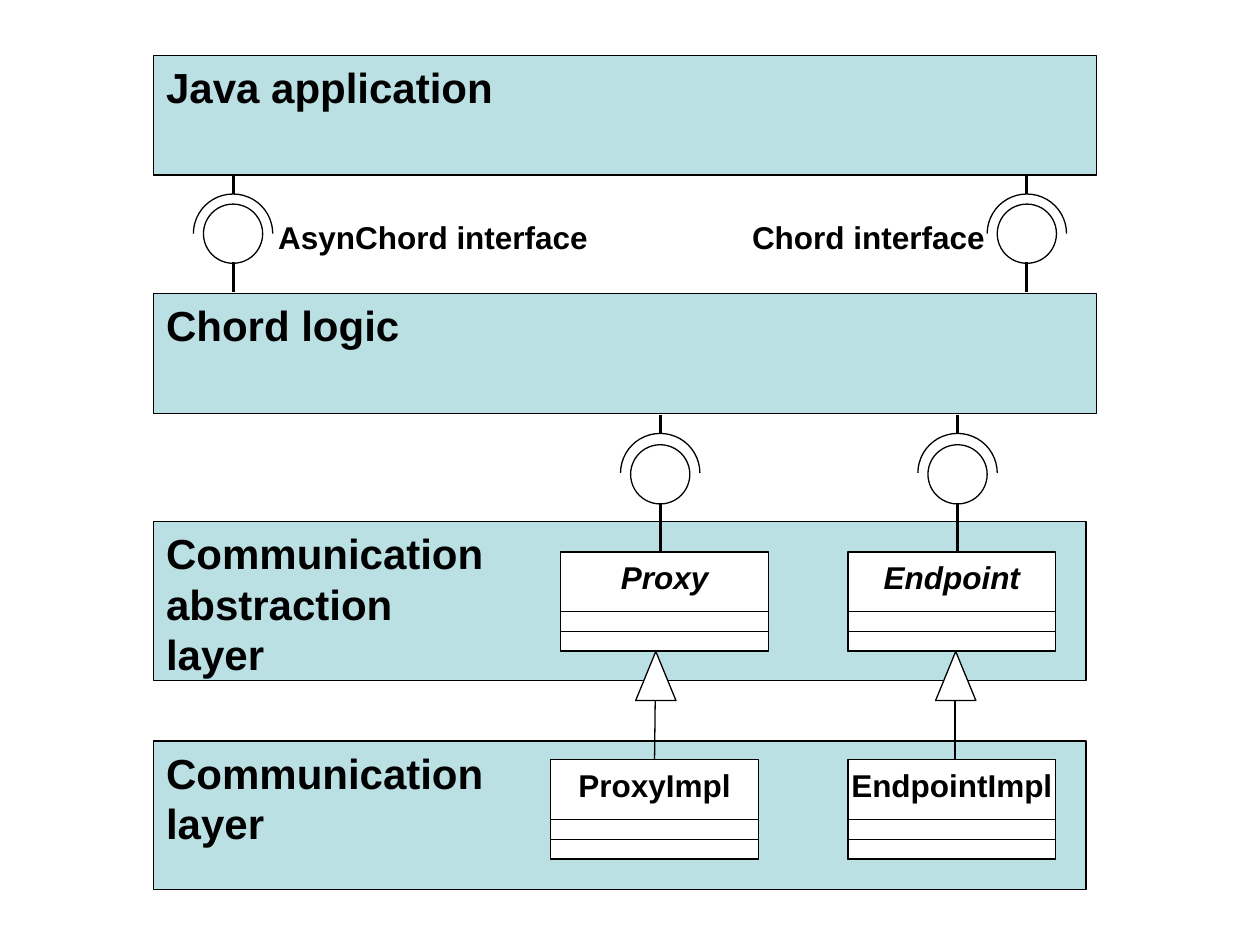
import pptx
import pptx.util
import pptx.dml.color
import pptx.enum.shapes
import pptx.enum.text
import pptx.oxml.ns
import lxml.etree

Inches = pptx.util.Inches
Pt = pptx.util.Pt
KIND = pptx.enum.shapes.MSO_SHAPE
ALIGN = pptx.enum.text.PP_ALIGN
BLACK = pptx.dml.color.RGBColor(0x00, 0x00, 0x00)
WHITE = pptx.dml.color.RGBColor(0xFF, 0xFF, 0xFF)
TEAL = pptx.dml.color.RGBColor(0xBB, 0xE0, 0xE3)

deck = pptx.Presentation()
deck.slide_width, deck.slide_height = Inches(10), Inches(7.5)
slide = deck.slides.add_slide(deck.slide_layouts[6])


def add_box(kind, left, top, width, height, fill=WHITE, text="", size=18,
            align=ALIGN.LEFT, italic=False):
    """Add a filled shape, or a plain text box when kind is None."""
    place = [Inches(n) for n in (left, top, width, height)]
    if kind is None:
        box = slide.shapes.add_textbox(*place)
    else:
        box = slide.shapes.add_shape(kind, *place)
        box.shadow.inherit = False
        box.fill.solid()
        box.fill.fore_color.rgb = fill
        box.line.color.rgb = BLACK
        box.line.width = Pt(0.75)
    if text:
        frame = box.text_frame
        frame.word_wrap = False
        frame.vertical_anchor = pptx.enum.text.MSO_ANCHOR.TOP
        frame.text = text
        for para in frame.paragraphs:
            para.alignment = align
            para.font.name = "Arial"
            para.font.size = Pt(size)
            para.font.bold = True
            para.font.italic = italic
            para.font.color.rgb = BLACK
    return box


def add_stem(x, top, end, width=1.75):
    """Add a vertical line."""
    stem = slide.shapes.add_connector(
        pptx.enum.shapes.MSO_CONNECTOR.STRAIGHT,
        Inches(x), Inches(top), Inches(x), Inches(end))
    stem.line.color.rgb = BLACK
    stem.line.width = Pt(width)
    lxml.etree.SubElement(stem._element.spPr, pptx.oxml.ns.qn("a:effectLst"))
    return stem


# Sockets: a circle whose lower half is covered, hung from a short stem
# (centre, socket top, ball top, end of the ball's stem)
joints = [
    (1.85, 1.54, 1.62, 2.32),
    (8.15, 1.54, 1.62, 2.32),
    (5.24, 3.44, 3.53, 4.38),
    (7.6, 3.44, 3.53, 4.38),
]
for x, top, ball, end in joints:
    add_box(KIND.OVAL, x - 0.315, top, 0.63, 0.63)
    cover = add_box(KIND.RECTANGLE, x - 0.63, top + 0.315, 1.26, 0.47)
    cover.line.fill.background()
    add_stem(x, top - 0.15, top)

# Layers
layers = [
    ("Java application", 0.44, 7.48, 0.95),
    ("Chord logic", 2.33, 7.48, 0.95),
    ("Communication\nabstraction\nlayer", 4.14, 7.4, 1.26),
    ("Communication\nlayer", 5.88, 7.4, 1.18),
]
for name, top, width, height in layers:
    add_box(KIND.RECTANGLE, 1.22, top, width, height, TEAL, name, 24)

# Interface names
add_box(None, 2.11, 1.68, 2.66, 0.4, text="AsynChord interface")
add_box(None, 5.87, 1.68, 2.05, 0.4, text="Chord interface")

# Balls in the sockets, with the stems below them
for x, top, ball, end in joints:
    add_box(KIND.OVAL, x - 0.235, ball, 0.47, 0.47)
    add_stem(x, ball + 0.46, end)

# Classes, each with two empty compartments
classes = [
    ("Proxy", 4.45, 4.38, True),
    ("Endpoint", 6.73, 4.38, True),
    ("ProxyImpl", 4.37, 6.03, False),
    ("EndpointImpl", 6.73, 6.03, False),
]
cards = {}
for name, left, top, italic in classes:
    cards[name] = add_box(KIND.RECTANGLE, left, top, 1.65, 0.79, text=name,
                          align=ALIGN.CENTER, italic=italic)
    for height in (0.31, 0.16):
        add_box(KIND.RECTANGLE, left, top + 0.475, 1.65, height)

# Inheritance arrows
for x in (5.2, 7.58):
    add_box(KIND.ISOSCELES_TRIANGLE, x - 0.155, 5.17, 0.32, 0.39)
    stem = add_stem(x, 5.56, 6.03, 0.75)
    if x == 5.2:
        stem.end_connect(cards["ProxyImpl"], 0)

deck.save("out.pptx")
